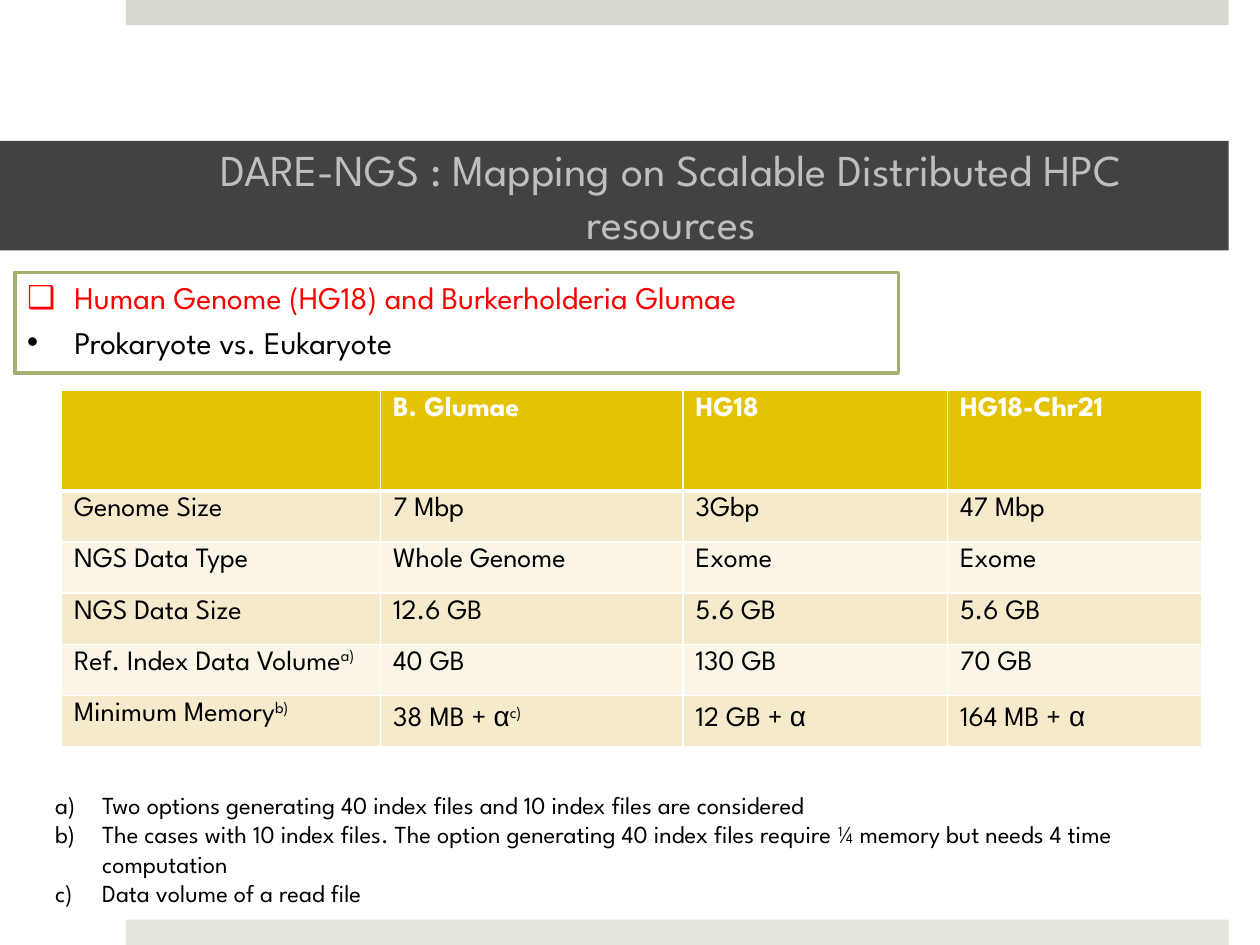
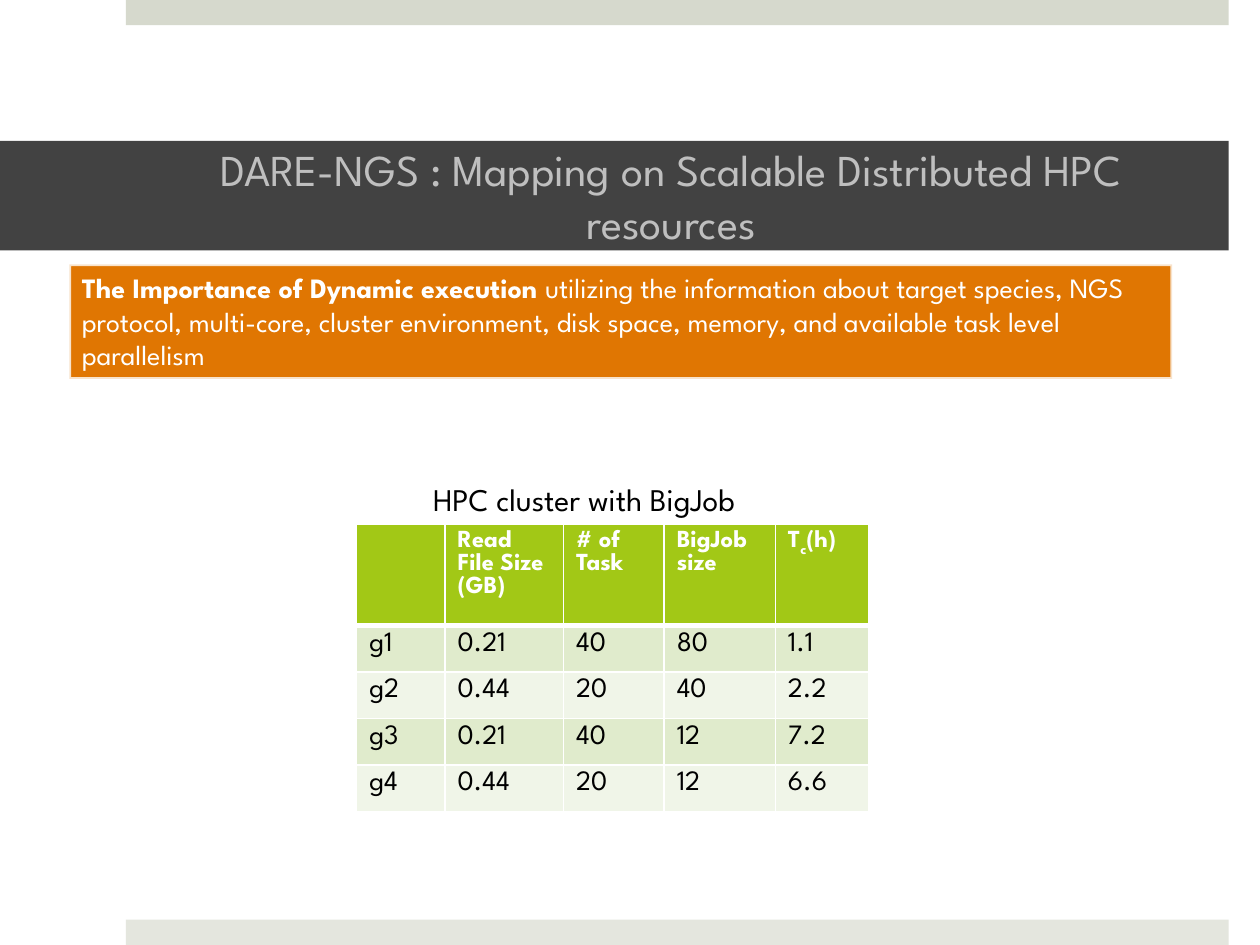
from lxml.etree import SubElement
from pptx import Presentation
from pptx.dml.color import RGBColor as RGB
from pptx.enum.shapes import MSO_SHAPE as SHAPE
from pptx.enum.text import MSO_ANCHOR as ANCHOR, MSO_AUTO_SIZE as AUTO, PP_ALIGN as ALIGN
from pptx.oxml.ns import qn
from pptx.util import Cm, Pt

COLORS = {
    "white": "FFFFFF", "black": "000000", "red": "FF0000",
    "top band": "D6D9CD", "bottom band": "E4E6DE",
    "title band": "424242", "title text": "BFBFBF",
    "olive": "A2B170", "orange": "E07602",
}
# Header, odd rows, even rows
GOLD = ("E4C402", "F5EACC", "FAF5E7")
GREEN = ("A2C816", "E0EBCC", "F0F5E8")

TITLE = "DARE-NGS : Mapping on Scalable Distributed HPC resources"
ALPHA = {"font": "Arial"}
SUPER = {"baseline": 30}
SUB = {"baseline": -25}


def rgb(name):
    return RGB.from_string(COLORS.get(name, name))


class Deck:
    font = "League Spartan"
    hanging = Cm(0.95)

    def __init__(self):
        self.prs = Presentation()
        self.prs.slide_width, self.prs.slide_height = Cm(25.4), Cm(19.05)
        self.s = None

    def slide(self, title):
        """Add a slide with the shared bands and title."""
        self.s = self.prs.slides.add_slide(self.prs.slide_layouts[6])
        self.rect(2.54, 0, 22.23, 0.51, "top band")
        self.rect(2.54, 18.54, 22.23, 0.51, "bottom band")
        tf = self.rect(0, 2.84, 24.77, 2.21, "title band").text_frame
        tf.margin_left, tf.margin_right = Cm(3.05), Cm(0.76)
        tf.vertical_anchor = ANCHOR.MIDDLE
        self.text(tf, [title], 25.2, "title text", align=ALIGN.CENTER)

    def rect(self, x, y, w, h, fill, line=None, opacity=None):
        sp = self.s.shapes.add_shape(SHAPE.RECTANGLE, Cm(x), Cm(y), Cm(w), Cm(h))
        sp.shadow.inherit = False
        sp.fill.solid()
        sp.fill.fore_color.rgb = rgb(fill)
        if line:
            sp.line.color.rgb = rgb(line)
            sp.line.width = Pt(2)
        else:
            sp.line.fill.background()
        if opacity:
            color = sp.line._ln.find(".//" + qn("a:srgbClr"))
            SubElement(color, qn("a:alpha"), val=str(opacity * 1000))
        sp.text_frame.word_wrap = True
        sp.text_frame.vertical_anchor = ANCHOR.TOP
        return sp

    def textbox(self, x, y, w, h, wrap=True):
        tf = self.s.shapes.add_textbox(Cm(x), Cm(y), Cm(w), Cm(h)).text_frame
        tf.word_wrap = wrap
        tf.auto_size = AUTO.SHAPE_TO_FIT_TEXT
        return tf

    def text(self, tf, paragraphs, size, color, bold=False, align=ALIGN.LEFT):
        """Fill a frame; a paragraph is a string or a list of (text, options) runs."""
        for i, runs in enumerate(paragraphs):
            p = tf.add_paragraph() if i else tf.paragraphs[0]
            p.alignment = align
            f = p.font
            f.name, f.size, f.bold = self.font, Pt(size), bold
            f.color.rgb = rgb(color)
            for text, options in [(runs, {})] if isinstance(runs, str) else runs:
                r = p.add_run()
                r.text = text
                if "font" in options:
                    r.font.name = options["font"]
                if "bold" in options:
                    r.font.bold = options["bold"]
                if "baseline" in options:
                    r._r.get_or_add_rPr().set("baseline", str(options["baseline"] * 1000))

    def bullet(self, p, char=None):
        """Hang a paragraph on a character, or on a), b), c) if none is given."""
        pPr = p._p.get_or_add_pPr()
        pPr.set("marL", str(self.hanging))
        pPr.set("indent", str(-self.hanging))
        if char:
            marks = [pPr.makeelement(qn("a:buFont"), typeface="Arial"),
                     pPr.makeelement(qn("a:buChar"), char=char)]
        else:
            marks = [pPr.makeelement(qn("a:buAutoNum"), type="alphaLcParenR")]
        for mark in marks:
            pPr.find(qn("a:defRPr")).addprevious(mark)

    def borders(self, cell, bottom):
        tcPr = cell._tc.get_or_add_tcPr()
        for side, width in (("L", 1), ("R", 1), ("T", 1), ("B", bottom)):
            ln = SubElement(tcPr, qn(f"a:ln{side}"), w=str(Pt(width)))
            fill = SubElement(ln, qn("a:solidFill"))
            SubElement(fill, qn("a:srgbClr"), val=COLORS["white"])

    def table(self, x, y, widths, header_h, row_h, rows, palette, header_size):
        heights = [header_h] + [row_h] * (len(rows) - 1)
        table = self.s.shapes.add_table(len(rows), len(widths), Cm(x), Cm(y),
                                        Cm(sum(widths)), Cm(sum(heights))).table
        for col, width in zip(table.columns, widths):
            col.width = Cm(width)
        for i, (height, values) in enumerate(zip(heights, rows)):
            header = i == 0
            table.rows[i].height = Cm(height)
            for j, value in enumerate(values):
                cell = table.cell(i, j)
                self.borders(cell, 3 if header else 1)
                cell.fill.solid()
                cell.fill.fore_color.rgb = rgb(palette[0 if header else 2 - i % 2])
                if value:
                    lines = value.split("\n") if isinstance(value, str) else [value]
                    self.text(cell.text_frame, lines, header_size if header else 16,
                              "white" if header else "black", bold=header)


def genome_slide(deck):
    deck.slide(TITLE)

    # Species compared
    tf = deck.rect(0.3, 5.49, 17.81, 2.03, "white", "olive").text_frame
    deck.text(tf, ["Human Genome (HG18) and Burkerholderia Glumae",
                   "Prokaryote vs. Eukaryote"], 18, "black")
    species, kinds = tf.paragraphs
    species.font.color.rgb = rgb("red")
    kinds.space_before = Pt(3.6)
    deck.bullet(species, "❑")
    deck.bullet(kinds, "•")

    # Data volumes
    deck.table(1.24, 7.87, (6.43, 6.1, 5.33, 5.13), 2.03, 1.03, [
        ("", "B. Glumae", "HG18", "HG18-Chr21"),
        ("Genome Size", "7 Mbp", "3Gbp", "47 Mbp"),
        ("NGS Data Type", "Whole Genome", "Exome", "Exome"),
        ("NGS Data Size", "12.6 GB", "5.6 GB", "5.6 GB"),
        ([("Ref. Index Data Volume", {}), ("a)", SUPER)], "40 GB", "130 GB", "70 GB"),
        ([("Minimum Memory", {}), ("b)", SUPER)],
         [("38 MB + ", {}), ("α", ALPHA), ("c)", SUPER)],
         [("12 GB + ", {}), ("α", ALPHA)],
         [("164 MB +", {}), (" α", ALPHA)]),
    ], GOLD, 16)

    # Table notes
    tf = deck.textbox(0.86, 15.8, 22.81, 2.64)
    deck.text(tf, [
        "Two options generating 40 index files and 10 index files are considered",
        "The cases with 10 index files. The option generating 40 index files "
        "require ¼ memory but needs 4 time computation",
        "Data volume of a read file",
    ], 14, "black")
    for p in tf.paragraphs:
        deck.bullet(p)


def cluster_slide(deck):
    deck.slide(TITLE)

    # Key message
    tf = deck.rect(1.4, 5.33, 22.23, 2.31, "orange", "white", opacity=80).text_frame
    deck.text(tf, [[
        ("The Importance of Dynamic execution ", {"bold": True}),
        ("utilizing the information about target species, NGS protocol, multi-core, "
         "cluster environment, disk space, memory, and available task level "
         "parallelism", {}),
    ]], 16, "white")

    # Run times
    deck.table(7.19, 10.57, (1.78, 2.39, 2.03, 2.24, 1.88), 2.01, 0.94, [
        ("", "Read\nFile Size\n(GB)", "# of Task", "BigJob size",
         [("T", {}), ("c", SUB), ("(h)", {})]),
        ("g1", "0.21", "40", "80", "1.1"),
        ("g2", "0.44", "20", "40", "2.2"),
        ("g3", "0.21", "40", "12", "7.2"),
        ("g4", "0.44", "20", "12", "6.6"),
    ], GREEN, 14)
    tf = deck.textbox(8.48, 9.55, 7.75, 1.02, wrap=False)
    deck.text(tf, ["HPC cluster with BigJob"], 18, "black")


def main():
    deck = Deck()
    genome_slide(deck)
    cluster_slide(deck)
    deck.prs.save("out.pptx")


if __name__ == "__main__":
    main()
